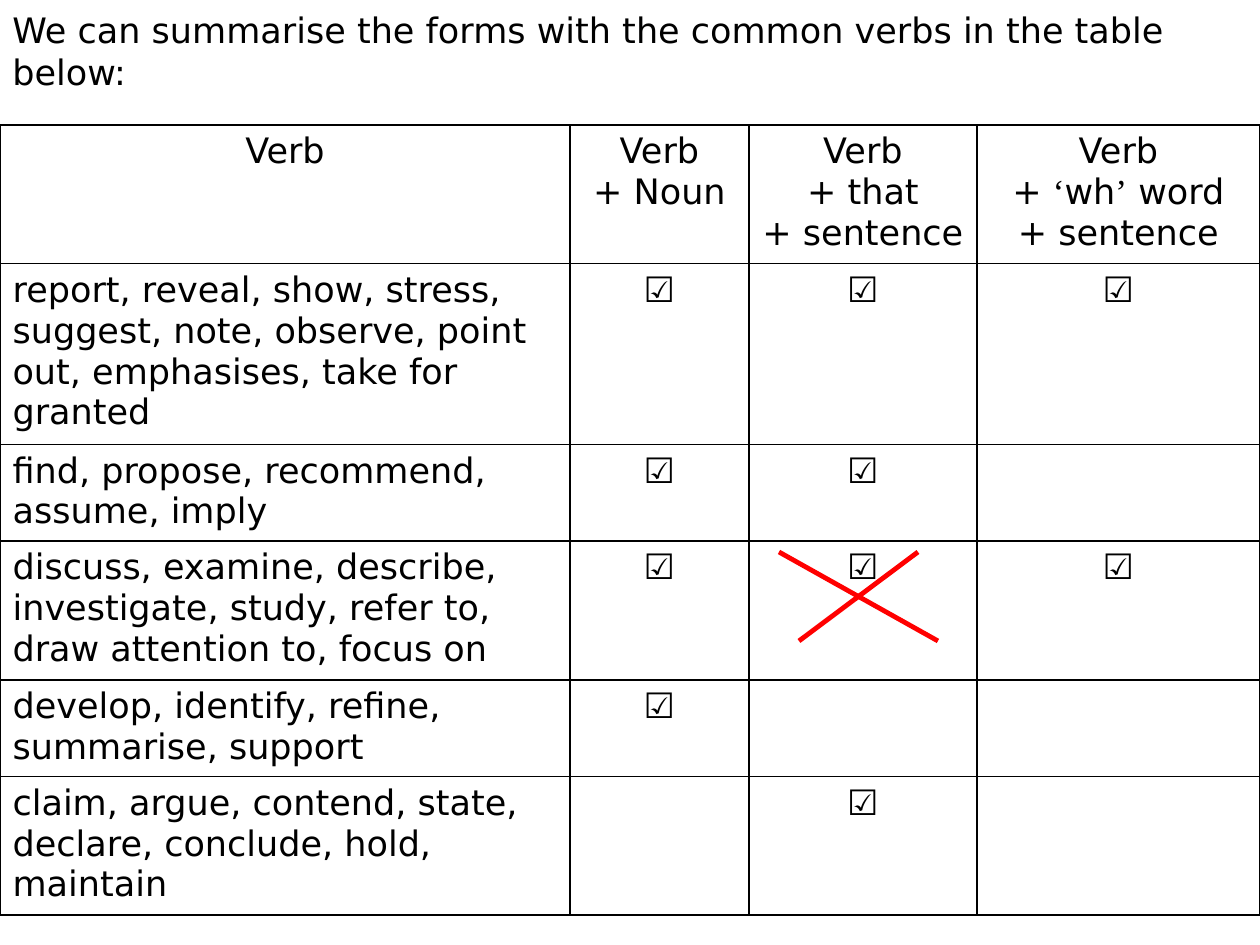
from lxml import etree
from pptx import Presentation
from pptx.dml.color import RGBColor
from pptx.enum.shapes import MSO_CONNECTOR
from pptx.enum.text import PP_ALIGN
from pptx.oxml.ns import qn
from pptx.util import Pt

PX = 914400 // 126
BLACK = RGBColor(0, 0, 0)
RED = RGBColor(255, 0, 0)
LEFT, CENTER = PP_ALIGN.LEFT, PP_ALIGN.CENTER
STRAIGHT = MSO_CONNECTOR.STRAIGHT
FONT, QUOTE_FONT = "DejaVu Sans", "Times New Roman"
QUOTES = "‘’"
TICK = "☑"

TITLE = "We can summarise the forms with the common verbs in the table below:"

# Each header cell is a list of lines; each line is a list of text runs
HEADERS = [
    [["Verb"]],
    [["Verb"], ["+ Noun"]],
    [["Verb"], ["+ that"], ["+ sentence"]],
    [["Verb"], ["+ ", "‘", "wh", "’", " word"], ["+ sentence"]],
]
# Verbs, then whether each of the three forms is allowed
VERB_GROUPS = [
    ("report, reveal, show, stress, suggest, note, observe, point out, "
     "emphasises, take for granted", (True, True, True)),
    ("find, propose, recommend, assume, imply", (True, True, False)),
    ("discuss, examine, describe, investigate, study, refer to, "
     "draw attention to, focus on", (True, True, True)),
    ("develop, identify, refine, summarise, support", (True, False, False)),
    ("claim, argue, contend, state, declare, conclude, hold, maintain",
     (False, True, False)),
]
COLUMN_WIDTHS = [570, 179, 228, 283]
ROW_HEIGHTS = [135, 175, 94, 135, 94, 135]
TABLE_TOP = 125
CROSS_STROKES = [(779, 552, 938, 641), (799, 641, 918, 552)]


def write_lines(text_frame, lines, alignment):
    for index, runs in enumerate(lines):
        paragraph = text_frame.paragraphs[0] if index == 0 else text_frame.add_paragraph()
        paragraph.alignment = alignment
        paragraph.font.size = Pt(20)
        paragraph.font.name = FONT
        paragraph.font.color.rgb = BLACK
        for text in runs:
            run = paragraph.add_run()
            run.text = text
            if text in QUOTES:
                run.font.name = QUOTE_FONT


def add_borders(cell):
    properties = cell._tc.get_or_add_tcPr()
    for index, side in enumerate(("a:lnL", "a:lnR", "a:lnT", "a:lnB")):
        line = etree.Element(qn(side), w=str(Pt(1)))
        fill = etree.SubElement(line, qn("a:solidFill"))
        etree.SubElement(fill, qn("a:srgbClr"), val=str(BLACK))
        properties.insert(index, line)


presentation = Presentation()
presentation.slide_width = 1260 * PX
presentation.slide_height = 945 * PX
slide = presentation.slides.add_slide(presentation.slide_layouts[6])

# Introductory sentence
title = slide.shapes.add_textbox(0, 0, 1260 * PX, 86 * PX).text_frame
title.word_wrap = True
title.margin_top = 9 * PX
write_lines(title, [[TITLE]], LEFT)

# Table of verb forms
rows = [HEADERS] + [
    [[[verbs]]] + [[[TICK]] if allowed else [] for allowed in forms]
    for verbs, forms in VERB_GROUPS
]
table = slide.shapes.add_table(
    len(rows), len(COLUMN_WIDTHS), 0, TABLE_TOP * PX,
    sum(COLUMN_WIDTHS) * PX, sum(ROW_HEIGHTS) * PX).table
table.first_row = False
table.horz_banding = False
for column, width in zip(table.columns, COLUMN_WIDTHS):
    column.width = width * PX
for row, height in zip(table.rows, ROW_HEIGHTS):
    row.height = height * PX
for row_index, row in enumerate(rows):
    for column_index, lines in enumerate(row):
        cell = table.cell(row_index, column_index)
        cell.fill.background()
        add_borders(cell)
        is_verb_list = row_index > 0 and column_index == 0
        write_lines(cell.text_frame, lines, LEFT if is_verb_list else CENTER)

# Red cross over the form that is not allowed
for stroke in CROSS_STROKES:
    connector = slide.shapes.add_connector(STRAIGHT, *(value * PX for value in stroke))
    connector.line.color.rgb = RED
    connector.line.width = Pt(2.75)
    etree.SubElement(connector._element.spPr, qn("a:effectLst"))

presentation.save("out.pptx")
